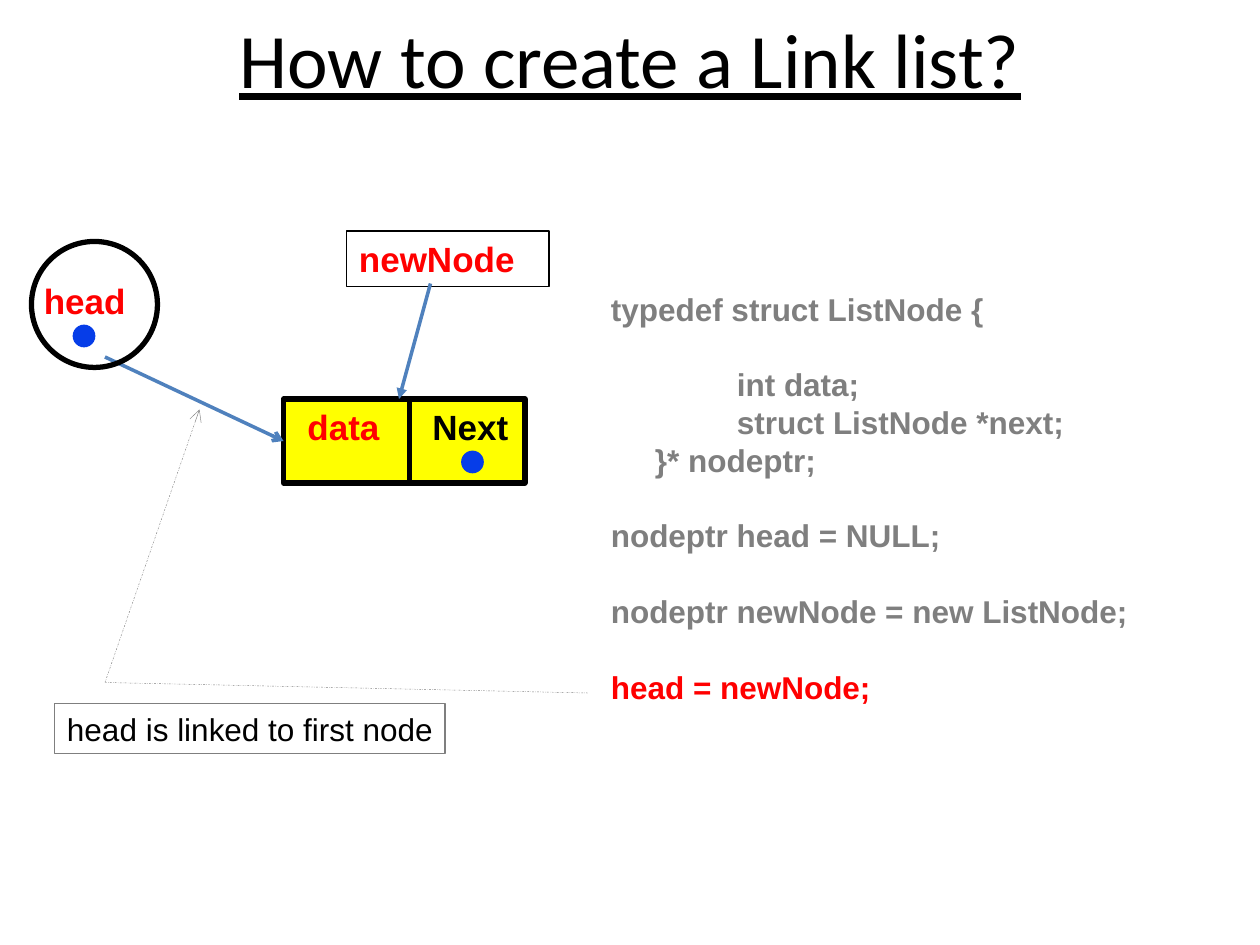
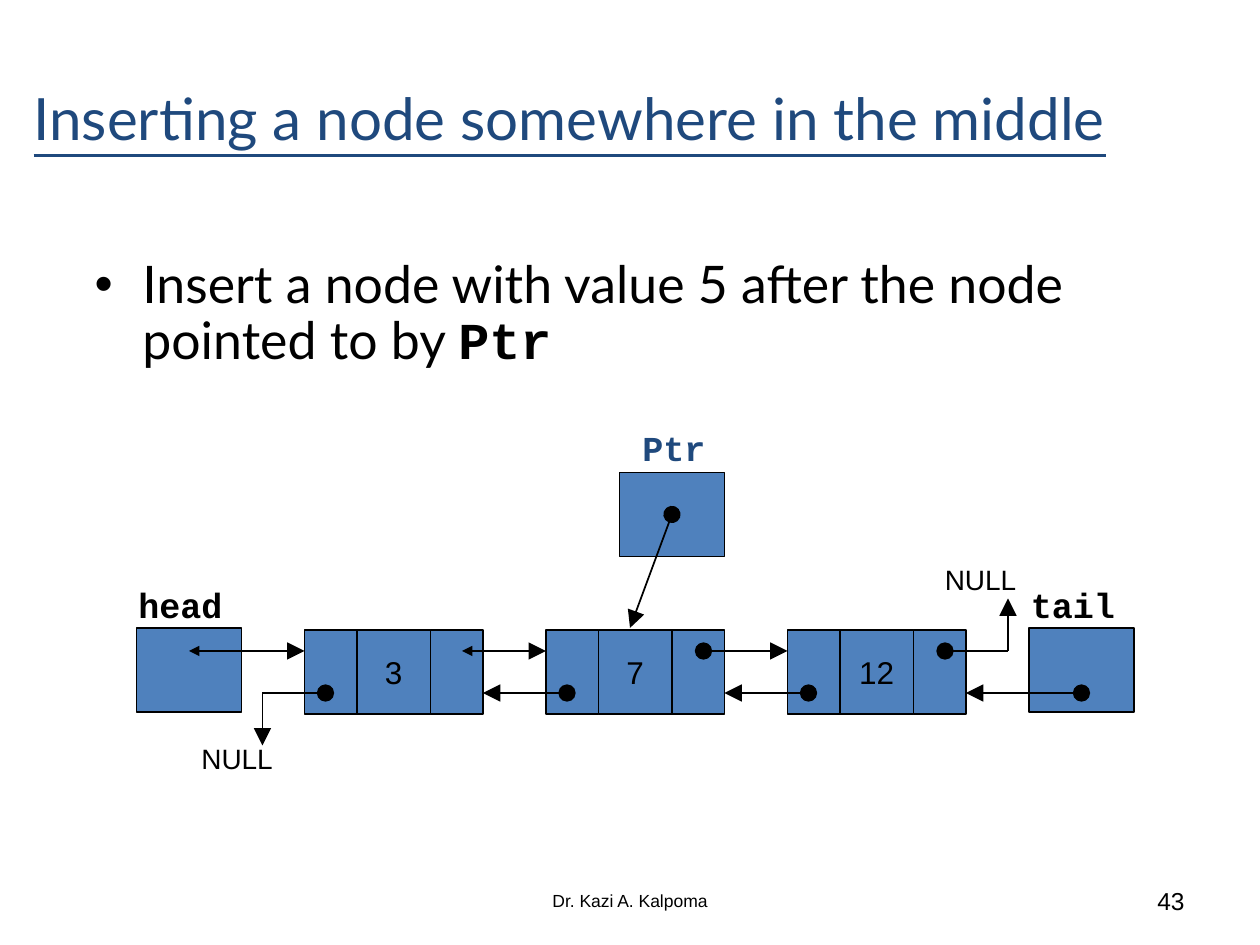
from lxml import etree
from pptx import Presentation
from pptx.dml.color import RGBColor
from pptx.enum.dml import MSO_LINE
from pptx.enum.shapes import MSO_CONNECTOR, MSO_SHAPE
from pptx.enum.text import MSO_ANCHOR, MSO_AUTO_SIZE, PP_ALIGN
from pptx.oxml.ns import qn
from pptx.util import Inches, Pt

RECT, OVAL = MSO_SHAPE.RECTANGLE, MSO_SHAPE.OVAL
STRAIGHT = MSO_CONNECTOR.STRAIGHT
LEFT, CENTER, RIGHT = PP_ALIGN.LEFT, PP_ALIGN.CENTER, PP_ALIGN.RIGHT
TOP, MIDDLE = MSO_ANCHOR.TOP, MSO_ANCHOR.MIDDLE
DASH_DOT = MSO_LINE.DASH_DOT

BLACK = RGBColor(0x00, 0x00, 0x00)
RED = RGBColor(0xFF, 0x00, 0x00)
GRAY = RGBColor(0x7F, 0x7F, 0x7F)
YELLOW = RGBColor(0xFF, 0xFF, 0x00)
DOT_BLUE = RGBColor(0x06, 0x3D, 0xE8)
NODE_BLUE = RGBColor(0x4F, 0x81, 0xBD)
NAVY = RGBColor(0x1F, 0x49, 0x7D)

SLIDE_W, SLIDE_H = Inches(10), Inches(7.5)
COLS = 120
UNIT = SLIDE_W / COLS

BOLD_RED = {"size": Pt(20), "bold": True, "color": RED}
BOLD_BLACK = {"size": Pt(20), "bold": True, "color": BLACK}
MONO = {"size": Pt(20), "bold": True, "name": "Courier New"}
CODE_LINE = 21.6
NODE_TOP, NODE_H = 60, 8
NEXT_ROW, PREV_ROW = 62, 66
VALUES = ("3", "7", "12")
FIRST_NODE, NODE_STEP = 29, 23
NODE_PARTS = ((0, 5), (5, 7), (12, 5))


def grid(*cells):
    return [round(c * UNIT) for c in cells]


def style(font, **values):
    values = {"name": "Arial", "color": BLACK, **values}
    font.color.rgb = values.pop("color")
    for name, value in values.items():
        setattr(font, name, value)


def add_run(p, text, **font):
    r = p.add_run()
    r.text = text
    style(r.font, **font)


def frame(tf, anchor=TOP, wrap=True, side=0.1):
    values = {"word_wrap": wrap, "auto_size": MSO_AUTO_SIZE.NONE,
              "vertical_anchor": anchor,
              "margin_left": Inches(side), "margin_right": Inches(side),
              "margin_top": Inches(0.05), "margin_bottom": Inches(0.05)}
    for name, value in values.items():
        setattr(tf, name, value)


def indent(p, left, first=0):
    pPr = p._p.get_or_add_pPr()
    pPr.set("marL", str(Inches(left)))
    pPr.set("indent", str(Inches(first)))


def write(sp, text, align=LEFT, anchor=TOP, wrap=True, **font):
    frame(sp.text_frame, anchor, wrap)
    p = sp.text_frame.paragraphs[0]
    p.alignment = align
    add_run(p, text, **font)
    return p


def place(sp, *cells):
    sp.left, sp.top, sp.width, sp.height = grid(*cells)


def label(s, text, cells, **options):
    write(s.shapes.add_textbox(*grid(*cells)), text, **options)


def title(s, text, cells, align, **font):
    place(s.shapes.title, *cells)
    return write(s.shapes.title, text, align, MIDDLE, underline=True, **font)


def shape(s, kind, cells, fill=None, line=BLACK, width=1):
    sp = s.shapes.add_shape(kind, *grid(*cells))
    sp.shadow.inherit = False
    if fill is None:
        sp.fill.background()
    else:
        sp.fill.solid()
        sp.fill.fore_color.rgb = fill
    sp.line.color.rgb = line
    sp.line.width = Pt(width)
    return sp


def line(s, start, end, color=BLACK, width=1, head=None, tail=None, dash=None):
    c = s.shapes.add_connector(STRAIGHT, *grid(*start, *end))
    c.line.color.rgb = color
    c.line.width = Pt(width)
    if dash is not None:
        c.line.dash_style = dash
    ln = c.line._get_or_add_ln()
    for tag, tip in (("a:headEnd", head), ("a:tailEnd", tail)):
        if tip:
            kind, size = tip
            etree.SubElement(ln, qn(tag), type=kind, w=size, len=size)
    etree.SubElement(c._element.spPr, qn("a:effectLst"))
    return c


def dot(s, col, row):
    shape(s, OVAL, (col, row, 2, 2), DOT_BLUE, DOT_BLUE)


def code(s, cells, rows):
    tf = s.shapes.add_textbox(*grid(*cells)).text_frame
    frame(tf)
    for i, (text, left, blank_before, color) in enumerate(rows):
        p = tf.add_paragraph() if i else tf.paragraphs[0]
        p.line_spacing = Pt(CODE_LINE)
        p.space_before = Pt(CODE_LINE * blank_before)
        indent(p, left)
        add_run(p, text, size=Pt(18), bold=True, color=color)


def pointer_box(s, name, col, row, label_at, color=BLACK):
    shape(s, RECT, (col, row, 10, 8), NODE_BLUE)
    label(s, name, (*label_at, 14, 5.3), color=color, **MONO)


def list_node(s, value, col):
    for left, width in NODE_PARTS:
        sp = shape(s, RECT, (col + left, NODE_TOP, width, NODE_H), NODE_BLUE)
        if left == 5:
            write(sp, value, CENTER, MIDDLE, False, size=Pt(18))


def create_list_slide(prs):
    s = prs.slides.add_slide(prs.slide_layouts[5])
    title(s, "How to create a Link list?", (6, -2, 108, 15), CENTER,
          name="Calibri", size=Pt(44))
    label(s, "head", (3, 26, 11, 5.3), **BOLD_RED)
    dot(s, 7, 31)
    data = shape(s, RECT, (27, 38, 12, 8), YELLOW, width=3)
    shape(s, RECT, (39, 38, 11, 8), YELLOW, width=3)
    label(s, "data", (28.1, 38, 10, 5.3), **BOLD_RED)
    label(s, "Next", (40, 38, 10, 5.3), **BOLD_BLACK)
    write(shape(s, RECT, (33, 22, 19.3, 5.3), width=0.75), "newNode", **BOLD_RED)
    line(s, (41, 27), (38, 38), NODE_BLUE, 2, tail=("triangle", "med"))
    link = line(s, (10, 34), (27, 42), NODE_BLUE, 2, tail=("arrow", "med"))
    link.end_connect(data, 1)
    code(s, (57, 27, 60, 48), (
        ("typedef struct ListNode {", 0, 0, GRAY),
        ("int data;", 1, 1, GRAY),
        ("struct ListNode *next;", 1, 0, GRAY),
        ("}* nodeptr;", 0.35, 0, GRAY),
        ("nodeptr head = NULL;", 0, 1, GRAY),
        ("nodeptr newNode = new ListNode;", 0, 1, GRAY),
        ("head = newNode;", 0, 1, RED)))
    dot(s, 44, 43)
    line(s, (56, 66), (10, 65), GRAY, 0.25, dash=DASH_DOT)
    line(s, (10, 65), (19, 39), GRAY, 0.25, tail=("arrow", "med"), dash=DASH_DOT)
    write(shape(s, RECT, (5.2, 67, 37.2, 4.8), line=GRAY, width=0.75),
          "head is linked to first node", wrap=False, size=Pt(18))
    shape(s, OVAL, (3, 23, 12, 12), width=3)


def insert_node_slide(prs):
    s = prs.slides.add_slide(prs.slide_layouts[1])
    p = title(s, "Inserting a node somewhere in the middle", (2, 4.2, 118, 14.8),
              LEFT, name="Lato", size=Pt(33.3), color=NAVY)
    p.line_spacing = 0.9

    body = s.placeholders[1]
    place(body, 9, 24, 102, 14)
    frame(body.text_frame, side=0)
    p = body.text_frame.paragraphs[0]
    p.line_spacing, p.space_before = 0.9, Pt(8)
    indent(p, 0.38, -0.38)
    add_run(p, "Insert a node with value 5 after the node pointed to by ",
            name="Lato", size=Pt(29.6))
    add_run(p, "Ptr", name="Courier New", size=Pt(29.6), bold=True)

    pointer_box(s, "head", 13, 59.8, (12, 55))
    pointer_box(s, "tail", 98, 59.8, (97, 55))
    pointer_box(s, "Ptr", 59, 45, (60, 40), NAVY)
    for i, value in enumerate(VALUES):
        list_node(s, value, FIRST_NODE + i * NODE_STEP)

    arrow, oval, back = ("triangle", "lg"), ("oval", "lg"), ("triangle", "med")
    links = (
        ((18, NEXT_ROW), (29, NEXT_ROW), back, arrow),
        ((44, NEXT_ROW), (52, NEXT_ROW), back, arrow),
        ((67, NEXT_ROW), (75, NEXT_ROW), oval, arrow),
        ((90, NEXT_ROW), (96, NEXT_ROW), oval, None),
        ((96, NEXT_ROW), (96, 57), None, arrow),
        ((31, PREV_ROW), (25, PREV_ROW), oval, None),
        ((25, PREV_ROW), (25, 71), None, arrow),
        ((54, PREV_ROW), (46, PREV_ROW), oval, arrow),
        ((77, PREV_ROW), (69, PREV_ROW), oval, arrow),
        ((103, PREV_ROW), (92, PREV_ROW), oval, arrow),
        ((64, 49), (60, 59.8), oval, arrow))
    for start, end, head, tail in links:
        line(s, start, end, head=head, tail=tail)

    for col, row in ((18, 70), (88.8, 53)):
        label(s, "NULL", (col, row, 10, 4.4), size=Pt(16))
    label(s, "Dr. Kazi A. Kalpoma", (41, 83.4, 38, 4.8),
          align=CENTER, anchor=MIDDLE, size=Pt(10))
    label(s, "43", (86, 83.4, 28, 4.8), align=RIGHT, anchor=MIDDLE, size=Pt(14))


def main():
    prs = Presentation()
    prs.slide_width, prs.slide_height = SLIDE_W, SLIDE_H
    create_list_slide(prs)
    insert_node_slide(prs)
    prs.save("out.pptx")


if __name__ == "__main__":
    main()
